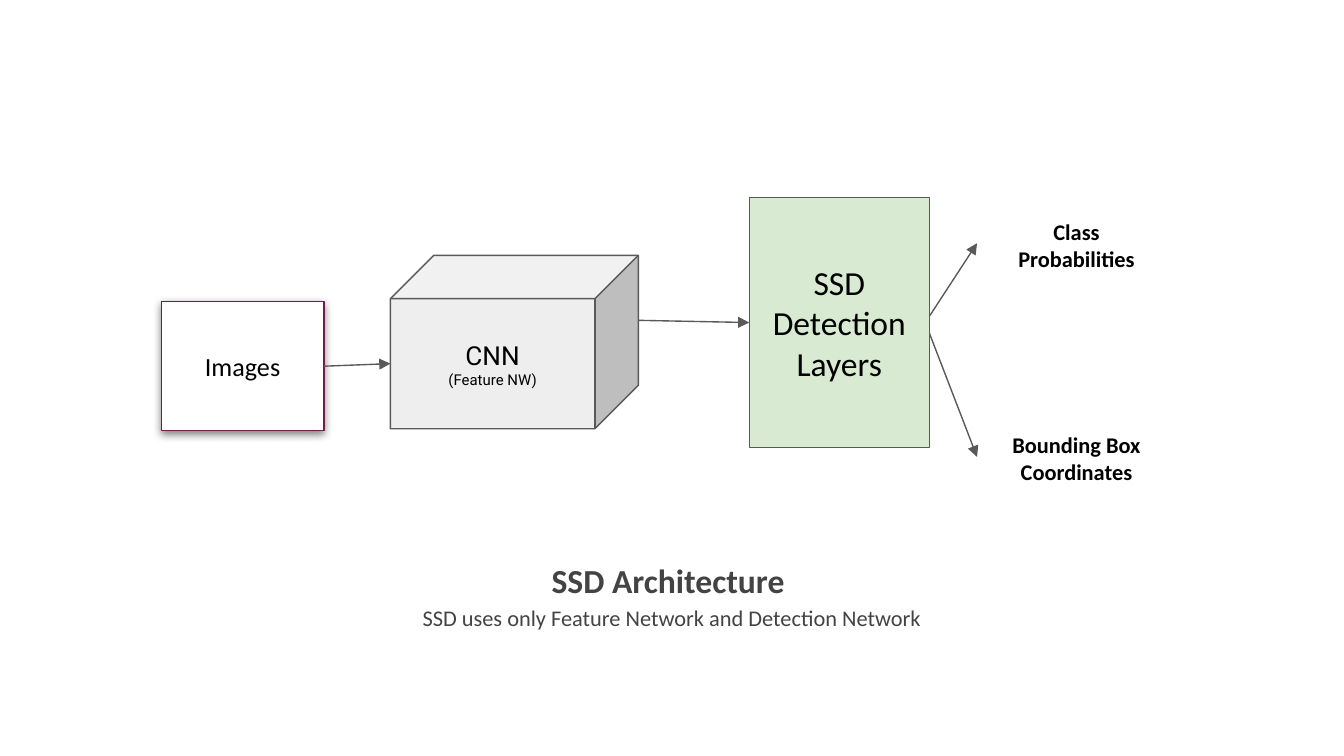
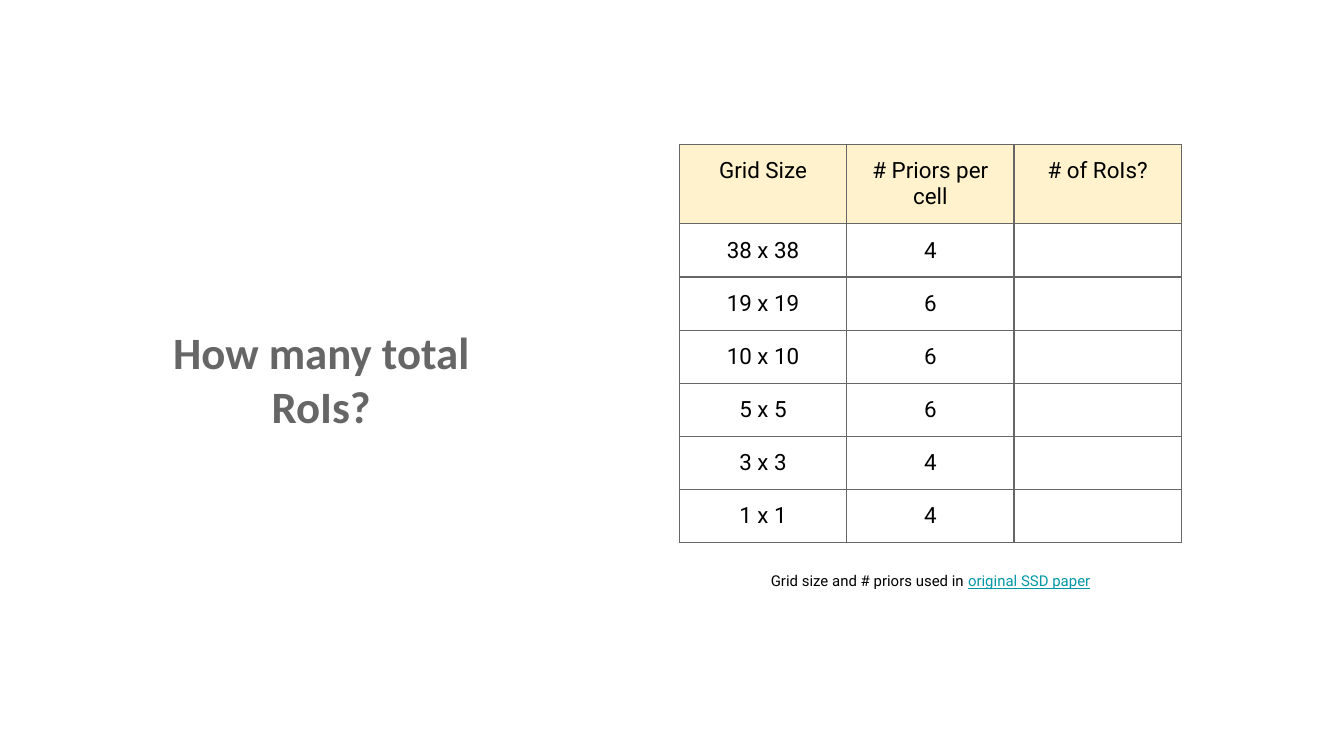
from dataclasses import dataclass

from lxml.etree import SubElement
from pptx import Presentation
from pptx.dml.color import RGBColor
from pptx.enum.shapes import MSO_CONNECTOR as Connector, MSO_SHAPE as Shape
from pptx.enum.text import MSO_ANCHOR as Anchor, MSO_AUTO_SIZE as AutoSize, PP_ALIGN as Align
from pptx.oxml import parse_xml
from pptx.oxml.ns import nsdecls, qn
from pptx.util import Inches, Pt


@dataclass(frozen=True)
class Theme:
    heading_font: str = "Calibri"
    body_font: str = "Roboto"
    ink: str = "000000"
    heading: str = "434343"
    muted: str = "666666"
    line: str = "595959"
    frame: str = "741B47"
    white: str = "FFFFFF"
    cube: str = "EEEEEE"
    green: str = "D9EAD3"
    cream: str = "FFF2CC"
    link: str = "0097A7"
    question: int = 24
    large: int = 18
    medium: int = 14
    body: int = 12
    small: int = 8
    stroke: float = 0.75


@dataclass(frozen=True)
class Style:
    size: int
    font: str
    color: str
    bold: bool = False
    underline: bool = False


THEME = Theme()
COLUMNS = 100
WIDTH = Inches(10)
HEIGHT = WIDTH * 9 // 16
UNIT = WIDTH // COLUMNS
INSET = UNIT

LABEL = Style(THEME.body, THEME.heading_font, THEME.ink, bold=True)
TABLE_TEXT = Style(THEME.body, THEME.body_font, THEME.ink)
NOTE = Style(THEME.small, THEME.body_font, THEME.ink)
LINK = Style(THEME.small, THEME.body_font, THEME.link, underline=True)

IMAGES_AREA = (12, 22.45, 12.1, 9.6)
CNN_AREA = (29.05, 19, 18.45, 12.9)
SSD_AREA = (55.75, 14.7, 13.4, 18.6)
CUBE_DEPTH = 0.25
BLOCKS = [
    (Shape.RECTANGLE, IMAGES_AREA, THEME.white, THEME.frame,
     [[("Images", Style(THEME.medium, THEME.heading_font, THEME.ink))]]),
    (Shape.CUBE, CNN_AREA, THEME.cube, THEME.line,
     [[("CNN", Style(THEME.medium, THEME.body_font, THEME.ink))],
      [("(Feature NW)", NOTE)]]),
    (Shape.RECTANGLE, SSD_AREA, THEME.green, THEME.line,
     [[("SSD Detection Layers", Style(THEME.large, THEME.heading_font, THEME.ink))]]),
]
OUTPUTS = [("Class Probabilities", 16.8, 18.1), ("Bounding Box Coordinates", 32.65, 34)]
OUTPUT_LEFT, OUTPUT_WIDTH, OUTPUT_HEIGHT = 73.4, 13.4, 2.9
ARROW_TIP = 72.7

ARCHITECTURE_TITLE = [
    [("SSD Architecture ", Style(THEME.large, THEME.heading_font, THEME.heading, bold=True))],
    [("SSD uses only Feature Network and Detection Network",
      Style(THEME.body, THEME.heading_font, THEME.heading))],
]
QUESTION_TITLE = [
    [("How many total RoIs?", Style(THEME.question, THEME.heading_font, THEME.muted, bold=True))],
]
PRIORS = [
    ("Grid Size", "# Priors per cell", "# of RoIs?"),
    ("38 x 38", "4", ""),
    ("19 x 19", "6", ""),
    ("10 x 10", "6", ""),
    ("5 x 5", "6", ""),
    ("3 x 3", "4", ""),
    ("1 x 1", "4", ""),
]
TABLE_LEFT, TABLE_TOP = 50.55, 10.74
TABLE_COLUMN, TABLE_ROW = 12.45, 3.2
CAPTION = [[("Grid size and # priors used in ", NOTE), ("original SSD paper", LINK)]]


def grid(*lengths):
    return [round(length * UNIT) for length in lengths]


def rgb(code):
    return RGBColor.from_string(code)


def write(frame, paragraphs, spacing=None):
    for index, runs in enumerate(paragraphs):
        para = frame.paragraphs[0] if index == 0 else frame.add_paragraph()
        para.alignment = Align.CENTER
        if spacing:
            para.line_spacing = spacing
        for text, style in runs:
            span = para.add_run()
            span.text = text
            span.font.size = Pt(style.size)
            span.font.name = style.font
            span.font.bold = style.bold
            span.font.underline = style.underline
            span.font.color.rgb = rgb(style.color)


def fill_box(box, paragraphs, anchor=Anchor.MIDDLE, spacing=None):
    frame = box.text_frame
    frame.word_wrap = True
    frame.auto_size = AutoSize.NONE
    frame.vertical_anchor = anchor
    frame.margin_left = frame.margin_right = INSET
    frame.margin_top = frame.margin_bottom = INSET
    write(frame, paragraphs, spacing)


def add_page(deck, area, paragraphs, spacing=None):
    page = deck.slides.add_slide(deck.slide_layouts[5])
    title = page.shapes.title
    title.left, title.top, title.width, title.height = grid(*area)
    fill_box(title, paragraphs, spacing=spacing)
    return page


def add_text(page, area, paragraphs, anchor=Anchor.MIDDLE):
    fill_box(page.shapes.add_textbox(*grid(*area)), paragraphs, anchor)


def add_block(page, kind, area, fill, line, paragraphs):
    box = page.shapes.add_shape(kind, *grid(*area))
    box.shadow.inherit = False
    box.fill.solid()
    box.fill.fore_color.rgb = rgb(fill)
    box.line.color.rgb = rgb(line)
    box.line.width = Pt(THEME.stroke)
    if kind == Shape.CUBE:
        box.adjustments[0] = CUBE_DEPTH
    fill_box(box, paragraphs)
    return box


def add_shadow(box):
    effects = box.element.spPr.find(qn("a:effectLst"))
    effects.append(parse_xml(
        f'<a:outerShdw {nsdecls("a")} blurRad="{Pt(4.5)}" dist="{Pt(1.5)}" dir="5400000" '
        f'algn="bl" rotWithShape="0"><a:srgbClr val="{THEME.ink}">'
        '<a:alpha val="50000"/></a:srgbClr></a:outerShdw>'))


def add_arrow(page, start, end):
    arrow = page.shapes.add_connector(Connector.STRAIGHT, *grid(*start, *end))
    arrow.line.color.rgb = rgb(THEME.line)
    arrow.line.width = Pt(THEME.stroke)
    SubElement(arrow.line._get_or_add_ln(), qn("a:tailEnd"), type="triangle")
    SubElement(arrow.element.spPr, qn("a:effectLst"))


def side(area, right=False, share=0.5):
    left, top, width, height = area
    return left + width * right, top + height * share


def add_borders(cell):
    properties = cell._tc.get_or_add_tcPr()
    for index, edge in enumerate(("lnL", "lnR", "lnT", "lnB")):
        properties.insert(index, parse_xml(
            f'<a:{edge} {nsdecls("a")} w="{Pt(THEME.stroke)}"><a:solidFill>'
            f'<a:srgbClr val="{THEME.muted}"/></a:solidFill></a:{edge}>'))


def fill_cell(cell, text, header):
    cell.margin_left = cell.margin_right = INSET
    cell.margin_top = cell.margin_bottom = INSET
    if header:
        cell.fill.solid()
        cell.fill.fore_color.rgb = rgb(THEME.cream)
    else:
        cell.fill.background()
    add_borders(cell)
    if text:
        write(cell.text_frame, [[(text, TABLE_TEXT)]])
    else:
        para = cell.text_frame.paragraphs[0]
        ending = SubElement(para._p, qn("a:endParaRPr"), sz=str(TABLE_TEXT.size * 100))
        SubElement(ending, qn("a:latin"), typeface=TABLE_TEXT.font)


def build_architecture(deck):
    page = add_page(deck, (28.3, 40, 43.4, 8.2), ARCHITECTURE_TITLE, spacing=1.15)
    branch_x, branch_y = side(SSD_AREA, right=True)
    for text, top, tip in OUTPUTS:
        add_arrow(page, (branch_x - 0.3, branch_y), (ARROW_TIP, tip))
        add_text(page, (OUTPUT_LEFT, top, OUTPUT_WIDTH, OUTPUT_HEIGHT), [[(text, LABEL)]])
    boxes = [add_block(page, *block) for block in BLOCKS]
    add_shadow(boxes[0])
    front_middle, side_middle = (1 + CUBE_DEPTH) / 2, (1 - CUBE_DEPTH) / 2
    add_arrow(page, side(IMAGES_AREA, right=True), side(CNN_AREA, share=front_middle))
    add_arrow(page, side(CNN_AREA, right=True, share=side_middle), side(SSD_AREA))


def build_question(deck):
    page = add_page(deck, (9.2, 16.6, 29.4, 23.1), QUESTION_TITLE)
    rows, columns = len(PRIORS), len(PRIORS[0])
    area = (TABLE_LEFT, TABLE_TOP, TABLE_COLUMN * columns, TABLE_ROW * rows)
    table = page.shapes.add_table(rows, columns, *grid(*area)).table
    table.first_row = table.horz_banding = False
    for row_index, values in enumerate(PRIORS):
        for column_index, text in enumerate(values):
            fill_cell(table.cell(row_index, column_index), text, header=row_index == 0)
    add_text(page, (52.2, 41.55, 34.1, 6.2), CAPTION, Anchor.TOP)


def main():
    deck = Presentation()
    deck.slide_width, deck.slide_height = WIDTH, HEIGHT
    build_architecture(deck)
    build_question(deck)
    deck.save("out.pptx")


if __name__ == "__main__":
    main()
